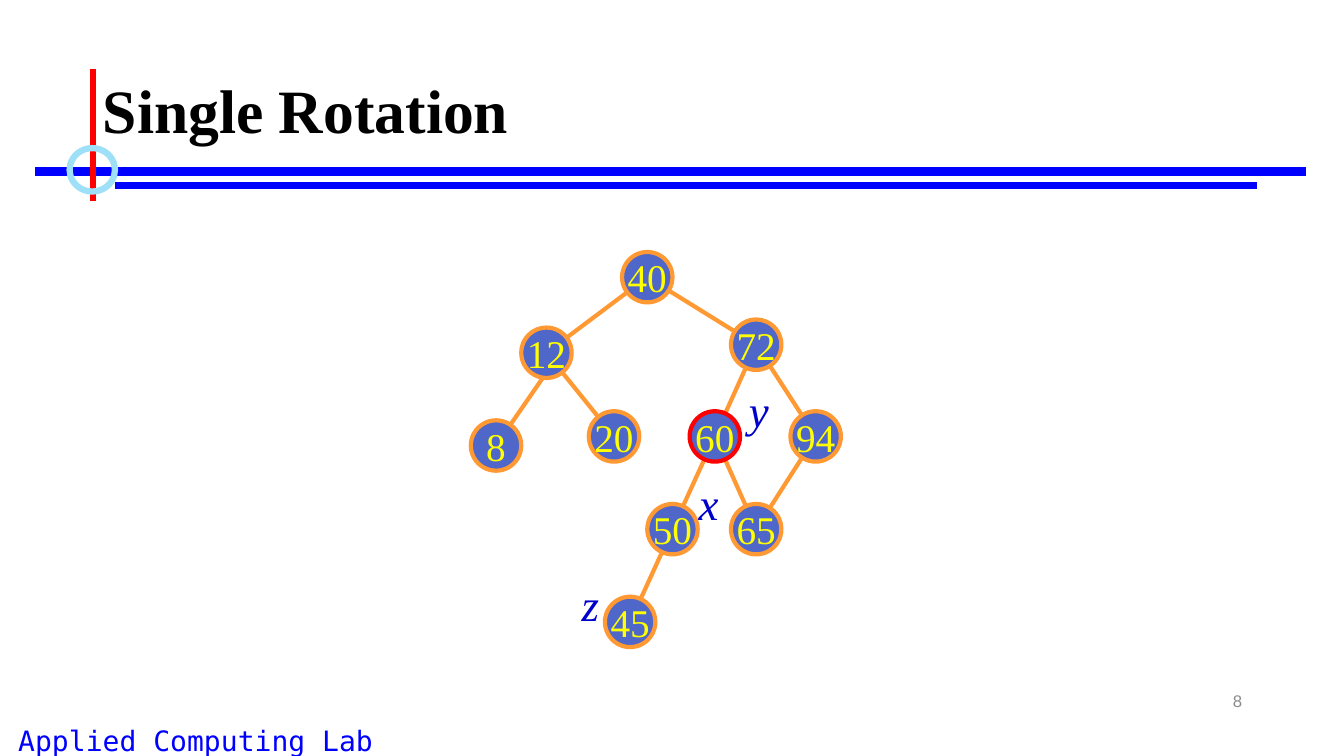
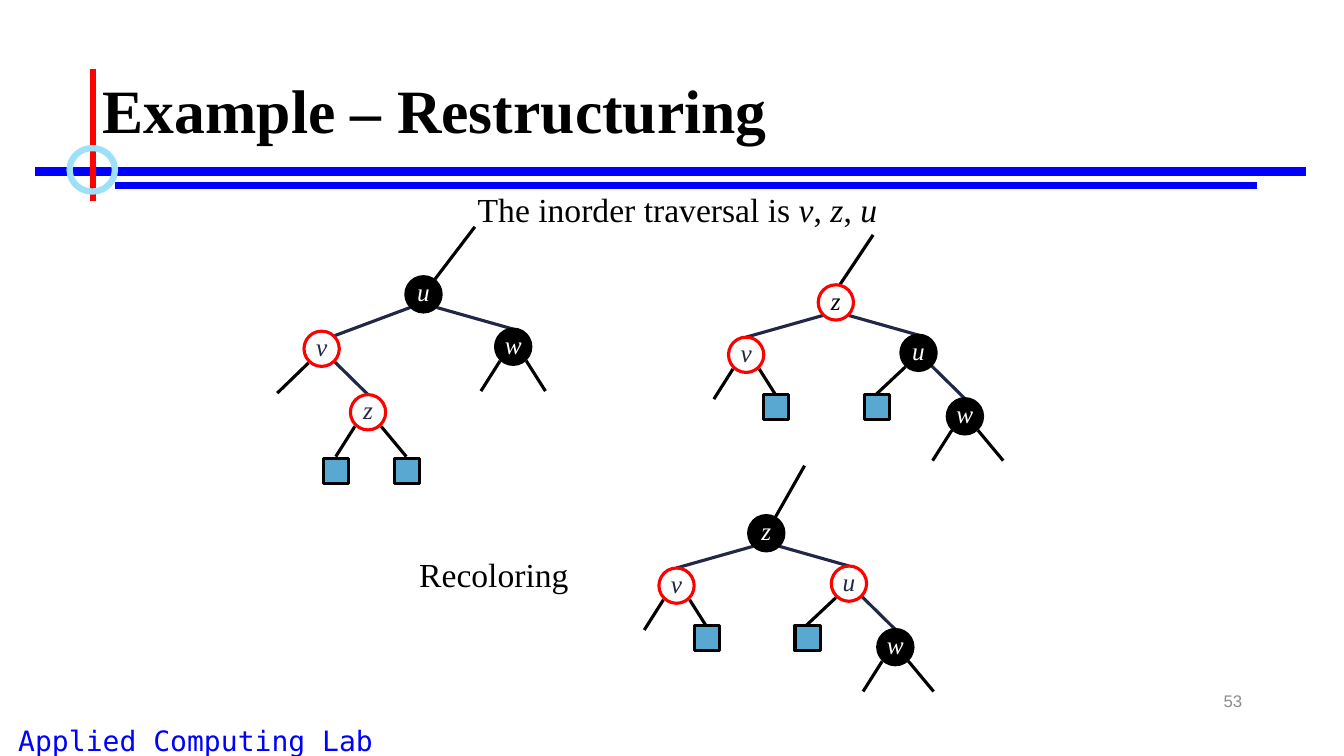
from lxml import etree
from pptx import Presentation
from pptx import util as u
from pptx.dml.color import RGBColor
from pptx.enum import shapes, text
from pptx.oxml import ns

SERIF = "Times New Roman"
BLACK, WHITE, RED, BLUE = "000000", "FFFFFF", "FF0000", "0000FF"
NAVY, ORANGE, LEAF = "212745", "FF9933", "59A8D1"
LEFT, CENTER, RIGHT = text.PP_ALIGN.LEFT, text.PP_ALIGN.CENTER, text.PP_ALIGN.RIGHT
TOP, MIDDLE = text.MSO_ANCHOR.TOP, text.MSO_ANCHOR.MIDDLE
OVAL, RECT = shapes.MSO_SHAPE.OVAL, shapes.MSO_SHAPE.RECTANGLE

# Restructuring trees: fill, outline and text colour of a node
STYLES = {
    "red": (None, RED, NAVY),
    "red_root": (None, RED, BLACK),
    "black": (BLACK, BLACK, WHITE),
}
NODE, SQUARE, CORNER = 0.35, 0.25, 0.13
OUTLINE = 2.25


def rgb(color):
    return RGBColor.from_string(color)


def box(x, y, w, h):
    return [u.Inches(v) for v in (x, y, w, h)]


# Basic parts
def add_line(s, x1, y1, x2, y2, color, width):
    c = s.shapes.add_connector(shapes.MSO_CONNECTOR.STRAIGHT, *box(x1, y1, x2, y2))
    c.line.color.rgb = rgb(color)
    c.line.width = u.Pt(width)
    etree.SubElement(c._element.spPr, ns.qn("a:effectLst"))


def add_outline(s, kind, x, y, w, h, fill, line, width):
    sp = s.shapes.add_shape(kind, *box(x, y, w, h))
    sp.shadow.inherit = False
    if fill:
        sp.fill.solid()
        sp.fill.fore_color.rgb = rgb(fill)
    else:
        sp.fill.background()
    sp.line.color.rgb = rgb(line)
    sp.line.width = u.Pt(width)
    return sp


def write(sp, runs, size, color, font=SERIF, align=LEFT, anchor=TOP,
          wrap=True, bold=False):
    """Fill a shape with one paragraph of (text, italic) runs."""
    tf = sp.text_frame
    tf.auto_size = text.MSO_AUTO_SIZE.NONE
    tf.word_wrap = wrap
    tf.vertical_anchor = anchor
    p = tf.paragraphs[0]
    p.alignment = align
    for words, italic in runs:
        r = p.add_run()
        r.text = words
        r.font.name = font
        r.font.size = u.Pt(size)
        r.font.bold = bold
        r.font.italic = italic
        r.font.color.rgb = rgb(color)
    return p


def add_text(s, x, y, w, h, runs, size, color, **style):
    write(s.shapes.add_textbox(*box(x, y, w, h)), runs, size, color, **style)


def add_node(s, cx, cy, d, label, fill, line, color, width, size, italic, lift=0):
    sp = add_outline(s, OVAL, cx - d / 2, cy - d / 2, d, d, fill, line, width)
    tf = sp.text_frame
    tf.margin_left = tf.margin_right = tf.margin_top = 0
    tf.margin_bottom = u.Inches(lift)
    write(sp, [(label, italic)], size, color, align=CENTER, anchor=MIDDLE, wrap=False)


# Title, crossed rules, footer and page number of every slide
def add_base(prs, title, number):
    s = prs.slides.add_slide(prs.slide_layouts[5])
    add_line(s, 0.35, 1.7, 12.95, 1.7, BLUE, 6)
    add_line(s, 1.14, 1.84, 12.47, 1.84, BLUE, 4.5)
    add_line(s, 0.92, 0.68, 0.92, 1.99, RED, 4.5)
    add_outline(s, OVAL, 0.69, 1.47, 0.45, 0.43, None, "9EE0F8", 4.5)

    sp = s.shapes.title
    sp.left, sp.top, sp.width, sp.height = box(0.92, 0.4, 11.5, 1.45)
    p = write(sp, [(title, False)], 44, BLACK, anchor=MIDDLE, bold=True)
    p.line_spacing = 0.9

    add_text(s, 0, 7.13, 3.88, 0.43, [("Applied Computing Lab", False)], 20, BLUE,
             font="DejaVu Sans Mono", align=CENTER)
    add_text(s, 9.42, 6.75, 3, 0.4, [(number, False)], 12, "8C8C8C",
             font="Arial", align=RIGHT, anchor=MIDDLE)
    return s


# Search tree with numbered nodes, placed from the centre of its root
def add_search_tree(s, x, y):
    nodes = {
        "40": (0, 0), "12": (-1, 0.75), "72": (1.08, 0.67),
        "8": (-1.5, 1.67), "20": (-0.33, 1.58), "60": (0.67, 1.58),
        "94": (1.67, 1.58), "50": (0.25, 2.5), "65": (1.08, 2.5),
        "45": (-0.17, 3.42),
    }
    # parent, child, shift of the starting point
    edges = [("40", "12", 0), ("40", "72", 0), ("12", "8", 0.08), ("12", "20", 0),
             ("72", "60", 0), ("72", "94", 0), ("60", "50", 0), ("60", "65", 0),
             ("94", "65", 0), ("50", "45", 0)]
    for parent, child, shift in edges:
        (x1, y1), (x2, y2) = nodes[parent], nodes[child]
        add_line(s, x + x1 + shift, y + y1 + shift, x + x2, y + y2, ORANGE, 3)
    for label, (dx, dy) in nodes.items():
        line = RED if label == "60" else ORANGE
        add_node(s, x + dx, y + dy, 0.5, label, "4E67C8", line, "FFFF00", 3, 28, False)
    for label, dx, dy in [("z", -0.75, 2.92), ("x", 0.41, 1.92), ("y", 0.91, 1)]:
        add_text(s, x + dx, y + dy, 0.5, 0.64, [(label, True)], 32, "0000CC")


# Red-black tree, placed from the centre of its root
def add_color_tree(s, x, y, nodes, styles, leaves, stem, stem_end=(0, 0)):
    """nodes: label -> (dx, dy, parent, entry dx, entry dy, stub ends)."""
    add_line(s, x + stem, y - 0.67, x + stem_end[0], y + stem_end[1], BLACK, OUTLINE)
    for label, (dx, dy, parent, ex, ey, stubs) in nodes.items():
        cx, cy = x + dx, y + dy
        if parent:
            px, py = nodes[parent][:2]
            side = CORNER if dx > px else -CORNER
            add_line(s, x + px + side, y + py + CORNER, cx + ex, cy + ey, NAVY, OUTLINE)
        for tip in stubs:
            side = CORNER if tip > 0 else -CORNER
            add_line(s, cx + side, cy + 0.14, cx + tip, cy + 0.44, BLACK, OUTLINE)
    for label, node in nodes.items():
        add_node(s, x + node[0], y + node[1], NODE, label, *STYLES[styles[label]],
                 OUTLINE, 18, True, lift=0.05)
    for dx, dy in leaves:
        add_outline(s, RECT, x + dx - SQUARE / 2, y + dy - SQUARE / 2,
                    SQUARE, SQUARE, LEAF, BLACK, OUTLINE)


def rotation_slide(prs):
    s = add_base(prs, "Single Rotation", "8")
    add_search_tree(s, 6.42, 2.75)


def restructuring_slide(prs):
    s = add_base(prs, "Example – Restructuring", "53")
    up = -NODE / 2
    before = {
        "u": (0, 0, None, 0, 0, ()),
        "v": (-1.01, 0.54, "u", CORNER, -CORNER, (-0.44,)),
        "w": (0.89, 0.52, "u", 0, up, (-0.32, 0.32)),
        "z": (-0.55, 1.17, "v", 0, up, (-0.32, 0.38)),
    }
    after = {
        "z": (0, 0, None, 0, 0, ()),
        "v": (-0.89, 0.52, "z", 0, up, (-0.32, 0.32)),
        "u": (0.82, 0.5, "z", 0, up, (-0.45,)),
        "w": (1.28, 1.13, "u", 0, up, (-0.32, 0.38)),
    }
    after_leaves = [(-0.59, 1.04), (0.41, 1.04)]

    add_color_tree(s, 4.2, 2.92, before,
                   {"u": "black", "v": "red", "w": "black", "z": "red"},
                   [(-0.87, 1.75), (-0.16, 1.75)], 0.51)
    add_color_tree(s, 8.29, 3, after,
                   {"z": "red_root", "v": "red", "u": "black", "w": "black"},
                   after_leaves, 0.37, (0.04, up))
    add_color_tree(s, 7.6, 5.29, after,
                   {"z": "black", "v": "red", "u": "red", "w": "black"},
                   after_leaves, 0.38)

    # Captions
    add_text(s, 4.64, 1.83, 4.5, 0.5,
             [("The inorder traversal is ", False), ("v", True), (", ", False),
              ("z", True), (", ", False), ("u", True)], 24, BLACK)
    add_text(s, 4.06, 5.45, 1.9, 0.5, [("Recoloring", False)], 24, BLACK)


def main():
    prs = Presentation()
    prs.slide_width, prs.slide_height = u.Inches(13.33), u.Inches(7.5)
    rotation_slide(prs)
    restructuring_slide(prs)
    prs.save("out.pptx")


if __name__ == "__main__":
    main()
